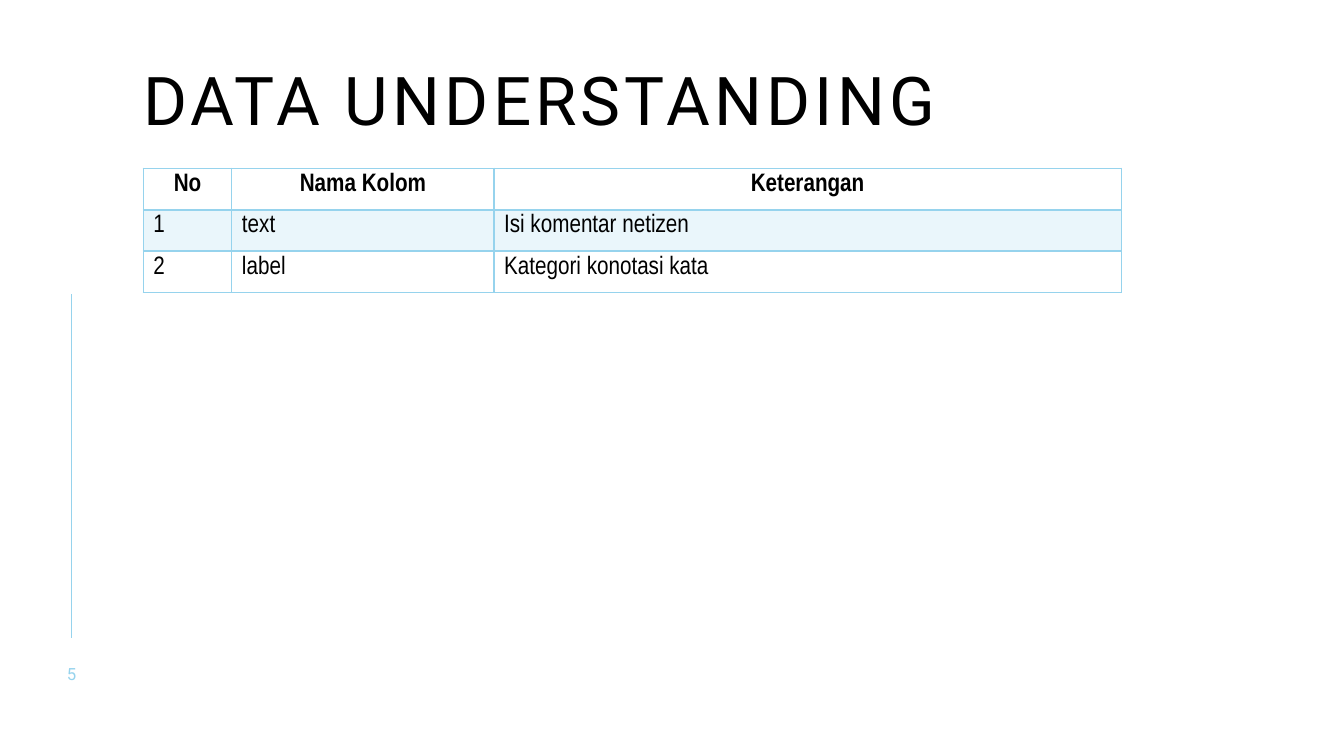
import pptx
import pptx.dml.color
import pptx.enum.shapes
import pptx.enum.text
import pptx.oxml.ns
import pptx.util
from lxml import etree

WIDTH, HEIGHT = 13.33, 7.5
SKY, BLACK = "96D3ED", "000000"
COLUMNS = [0.88, 2.6, 6.22]
ROW_HEIGHT = 0.41
THIN, THICK = 1, 1.5
ROWS = [
    ["No", "Nama Kolom", "Keterangan"],
    ["1", "text", "Isi komentar netizen"],
    ["2", "label", "Kategori konotasi kata"],
]
LEFT = pptx.enum.text.PP_ALIGN.LEFT
CENTER = pptx.enum.text.PP_ALIGN.CENTER


def color(value):
    return pptx.dml.color.RGBColor.from_string(value)


def inches(*lengths):
    return [pptx.util.Inches(length) for length in lengths]


def add_tag(parent, name, **attributes):
    return etree.SubElement(parent, pptx.oxml.ns.qn(name), attributes)


def write(para, text, size, font, fill, align=LEFT, bold=False, spacing=0):
    """Add one run; spacing is the letter spacing in points."""
    para.alignment = align
    span = para.add_run()
    span.text = text
    span.font.size = pptx.util.Pt(size)
    span.font.name = font
    span.font.bold = bold
    span.font.color.rgb = color(fill)
    if spacing:
        span.font._element.set("spc", str(spacing * 100))


def add_text(page, box, anchor):
    """Place an empty text box without margins and return its paragraph."""
    frame = page.shapes.add_textbox(*inches(*box)).text_frame
    frame.margin_left = frame.margin_top = frame.margin_right = frame.margin_bottom = 0
    frame.word_wrap = True
    frame.vertical_anchor = anchor
    return frame.paragraphs[0]


def add_title(page, box):
    para = add_text(page, box, pptx.enum.text.MSO_ANCHOR.TOP)
    para.line_spacing = 0.9
    write(para, "DATA UNDERSTANDING", 48, "Roboto", BLACK, spacing=3)


def add_side_rail(page, box):
    """Draw the vertical rule with the page number below it."""
    left, top, width, height = box
    middle = left + width / 2
    rule = page.shapes.add_connector(
        pptx.enum.shapes.MSO_CONNECTOR.STRAIGHT,
        *inches(middle, top, middle, top + height - 0.45))
    rule.line.color.rgb = color(SKY)
    rule.line.width = pptx.util.Pt(1)
    add_tag(rule._element.spPr, "a:effectLst")
    number_box = (left, top + height - 0.2, width, 0.2)
    para = add_text(page, number_box, pptx.enum.text.MSO_ANCHOR.MIDDLE)
    write(para, "5", 12, "Roboto", SKY, CENTER, spacing=2)


def style_cell(cell, tinted, bottom, top):
    """Set the borders, then the fill, as the cell format orders them."""
    properties = cell._tc.get_or_add_tcPr()
    for side, points in (("L", THIN), ("R", THIN), ("T", top), ("B", bottom)):
        edge = add_tag(properties, f"a:ln{side}", w=str(pptx.util.Pt(points)))
        add_tag(add_tag(edge, "a:solidFill"), "a:srgbClr", val=SKY)
    if tinted:
        cell.fill.solid()
        cell.fill.fore_color.rgb = color(SKY)
        tint = properties.find(pptx.oxml.ns.qn("a:solidFill"))
        add_tag(tint[0], "a:alpha", val="20000")
    else:
        cell.fill.background()


def add_column_table(page, left, top):
    box = (left, top, sum(COLUMNS), ROW_HEIGHT * len(ROWS))
    table = page.shapes.add_table(len(ROWS), len(COLUMNS), *inches(*box)).table
    for column, width in zip(table.columns, COLUMNS):
        column.width = pptx.util.Inches(width)
    for r, texts in enumerate(ROWS):
        table.rows[r].height = pptx.util.Inches(ROW_HEIGHT)
        header = r == 0
        for c, text in enumerate(texts):
            cell = table.cell(r, c)
            cell.margin_left = cell.margin_right = pptx.util.Inches(0.1)
            cell.margin_top = cell.margin_bottom = pptx.util.Inches(0.05)
            write(cell.text_frame.paragraphs[0], text, 18, "Arial Narrow", BLACK,
                  CENTER if header else LEFT, bold=header)
            style_cell(cell, tinted=r % 2 == 1, bottom=THICK if header else THIN,
                       top=THICK if r == 1 else THIN)


def main():
    deck = pptx.Presentation()
    deck.slide_width, deck.slide_height = inches(WIDTH, HEIGHT)
    page = deck.slides.add_slide(deck.slide_layouts[6])
    page.background.fill.solid()
    page.background.fill.fore_color.rgb = color("FFFFFF")
    add_side_rail(page, (0.46, 2.92, 0.5, 3.86))
    add_title(page, (1.42, 0.67, 11, 1))
    add_column_table(page, 1.42, 1.67)
    deck.save("out.pptx")


if __name__ == "__main__":
    main()
